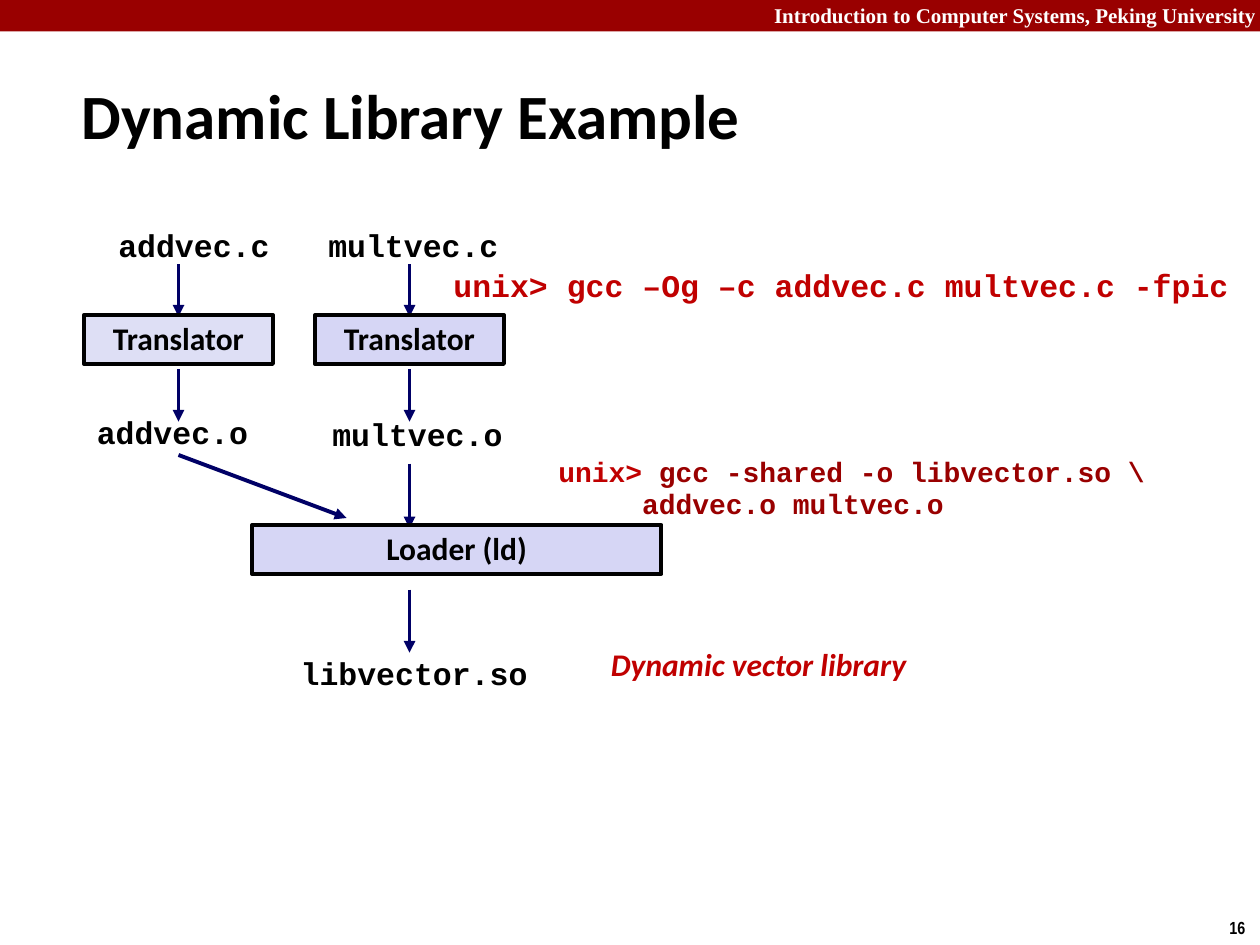
"""Build the "Dynamic Library Example" slide."""
from dataclasses import dataclass, field
from typing import Any

from lxml.etree import SubElement
from pptx import Presentation
from pptx.dml.color import RGBColor
from pptx.enum.shapes import MSO_CONNECTOR, MSO_SHAPE
from pptx.enum.text import MSO_ANCHOR, PP_ALIGN
from pptx.oxml.ns import qn
from pptx.util import Pt

BLACK, WHITE, NAVY = "000000", "FFFFFF", "000066"
RED, DARK_RED, LAVENDER, PALE_LAVENDER = "C00000", "990000", "D6D6F5", "DEDFF5"
CODE, SANS = "Courier New", "Calibri"
ADDVEC_X, MULTVEC_X = 102, 234
CODE_SPACING, SANS_SPACING = 0.94, 0.98


@dataclass(frozen=True)
class Label:
    left: float
    top: float
    width: float
    height: float
    lines: list[list[tuple[str, str]]]
    name: str = CODE
    size: float = 18
    spacing: float = CODE_SPACING
    align: PP_ALIGN = PP_ALIGN.LEFT
    anchor: MSO_ANCHOR = MSO_ANCHOR.TOP
    wrap: bool = False
    extra: dict[str, Any] = field(default_factory=dict)


@dataclass(frozen=True)
class Stage:
    left: float
    top: float
    width: float
    text: str
    fill: str = LAVENDER


@dataclass(frozen=True)
class Arrow:
    start_x: float
    start_y: float
    end_x: float
    end_y: float


LABELS = [
    Label(432, -2, 293, 22,
          [[("Introduction to Computer Systems, Peking University", WHITE)]],
          "Times New Roman", 12, 1, PP_ALIGN.RIGHT, wrap=True),
    Label(695.5, 520.5, 24.5, 19.5, [[("16", BLACK)]], "Arial Narrow", 10, 1),
    Label(39.5, 34.5, 686, 62, [[("Dynamic Library Example", BLACK)]], SANS, 36, 1,
          anchor=MSO_ANCHOR.MIDDLE, wrap=True),
    Label(60.5, 127.5, 101, 28, [[("addvec.c", BLACK)]]),
    Label(48, 234, 101, 28, [[("addvec.o", BLACK)]], align=PP_ALIGN.CENTER),
    Label(180.5, 127.5, 112, 28, [[("multvec.c", BLACK)]]),
    Label(182.5, 235.5, 112, 28, [[("multvec.o", BLACK)]], align=PP_ALIGN.CENTER),
    Label(163.5, 372, 145, 28, [[("libvector.so", BLACK)]], align=PP_ALIGN.RIGHT),
    Label(312, 258, 354, 44,
          [[("unix> ", RED), ("gcc -shared -o libvector.so \\", DARK_RED)],
           [("     addvec.o multvec.o", DARK_RED)]], size=16),
    Label(342, 366, 234, 29, [[("Dynamic vector library", RED)]], SANS,
          spacing=SANS_SPACING, wrap=True, extra={"italic": True}),
    Label(252, 150, 462, 28,
          [[("unix> gcc –Og –c addvec.c multvec.c -fpic", RED)]], wrap=True),
]
ARROWS = [Arrow(x, top, x, top + 30) for x in (ADDVEC_X, MULTVEC_X) for top in (151, 211)] + [
    Arrow(MULTVEC_X, 265, MULTVEC_X, 302),
    Arrow(MULTVEC_X, 337, MULTVEC_X, 373),
    Arrow(ADDVEC_X, 260, 198, 296),
]
STAGES = [
    Stage(48, 180, 108, "Translator", PALE_LAVENDER),
    Stage(180, 180, 108, "Translator"),
    Stage(144, 300, 234, "Loader (ld)"),
]


def color(value: str) -> RGBColor:
    """Turn a hex string into a colour."""
    return RGBColor.from_string(value)


def apply_format(target: Any, values: dict[str, Any]) -> None:
    """Set every named attribute on the target."""
    for name, value in values.items():
        setattr(target, name, value)


def write_text(shape: Any, label: Label) -> None:
    """Fill a shape with the lines of a label."""
    frame = shape.text_frame
    apply_format(frame, {"word_wrap": label.wrap, "vertical_anchor": label.anchor})
    for index, line in enumerate(label.lines):
        paragraph = frame.add_paragraph() if index else frame.paragraphs[0]
        apply_format(paragraph, {"alignment": label.align, "line_spacing": label.spacing})
        for text, hue in line:
            run = paragraph.add_run()
            run.text = text
            apply_format(run.font, {"name": label.name, "size": Pt(label.size),
                                    "bold": True, **label.extra})
            run.font.color.rgb = color(hue)


def draw_label(slide: Any, label: Label) -> None:
    """Draw a text box."""
    shape = slide.shapes.add_textbox(
        Pt(label.left), Pt(label.top), Pt(label.width), Pt(label.height))
    write_text(shape, label)


def draw_rectangle(slide: Any, left: float, top: float, width: float, height: float,
                   fill: str) -> Any:
    """Draw a flat filled rectangle without an outline."""
    shape = slide.shapes.add_shape(
        MSO_SHAPE.RECTANGLE, Pt(left), Pt(top), Pt(width), Pt(height))
    shape.shadow.inherit = False
    shape.fill.solid()
    shape.fill.fore_color.rgb = color(fill)
    shape.line.fill.background()
    return shape


def draw_stage(slide: Any, stage: Stage) -> None:
    """Draw an outlined tool box with its centred name."""
    height = 28
    shape = draw_rectangle(slide, stage.left, stage.top, stage.width, height, stage.fill)
    shape.line.color.rgb = color(BLACK)
    shape.line.width = Pt(2.25)
    write_text(shape, Label(stage.left, stage.top, stage.width, height,
                            [[(stage.text, BLACK)]], SANS, spacing=SANS_SPACING,
                            align=PP_ALIGN.CENTER, wrap=True))


def draw_arrow(slide: Any, arrow: Arrow) -> None:
    """Draw a straight line with a triangle at its end."""
    connector = slide.shapes.add_connector(
        MSO_CONNECTOR.STRAIGHT, Pt(arrow.start_x), Pt(arrow.start_y),
        Pt(arrow.end_x), Pt(arrow.end_y))
    connector.line.color.rgb = color(NAVY)
    connector.line.width = Pt(2.25)
    SubElement(connector.line._get_or_add_ln(), qn("a:tailEnd"), type="triangle")
    SubElement(connector._element.spPr, qn("a:effectLst"))


def main() -> None:
    """Build and save the presentation."""
    presentation = Presentation()
    apply_format(presentation, {"slide_width": Pt(720), "slide_height": Pt(540)})
    slide = presentation.slides.add_slide(presentation.slide_layouts[6])
    draw_rectangle(slide, 0, 0, 720, 18, DARK_RED)
    for arrow in ARROWS:
        draw_arrow(slide, arrow)
    for stage in STAGES:
        draw_stage(slide, stage)
    for label in LABELS:
        draw_label(slide, label)
    presentation.save("out.pptx")


if __name__ == "__main__":
    main()
